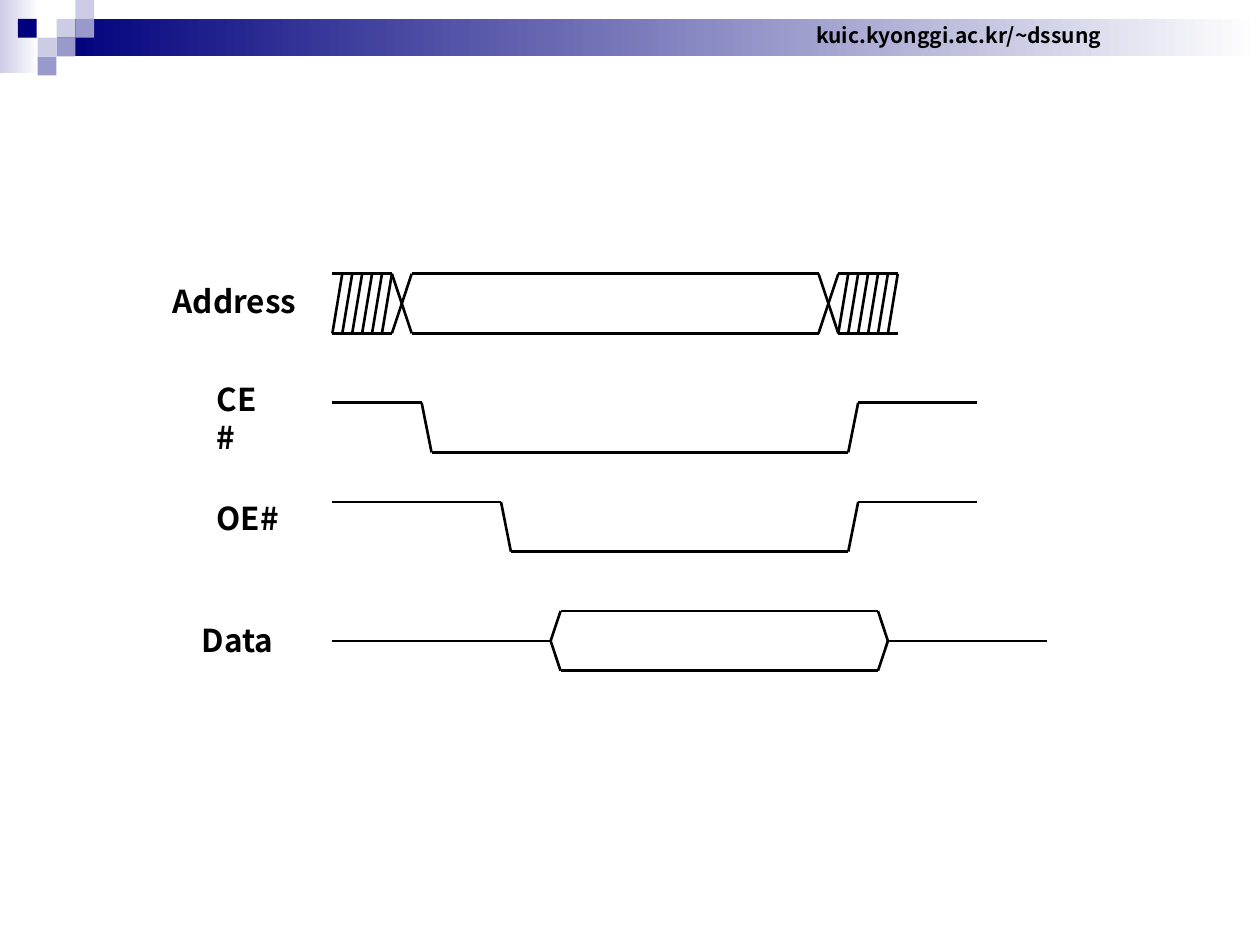
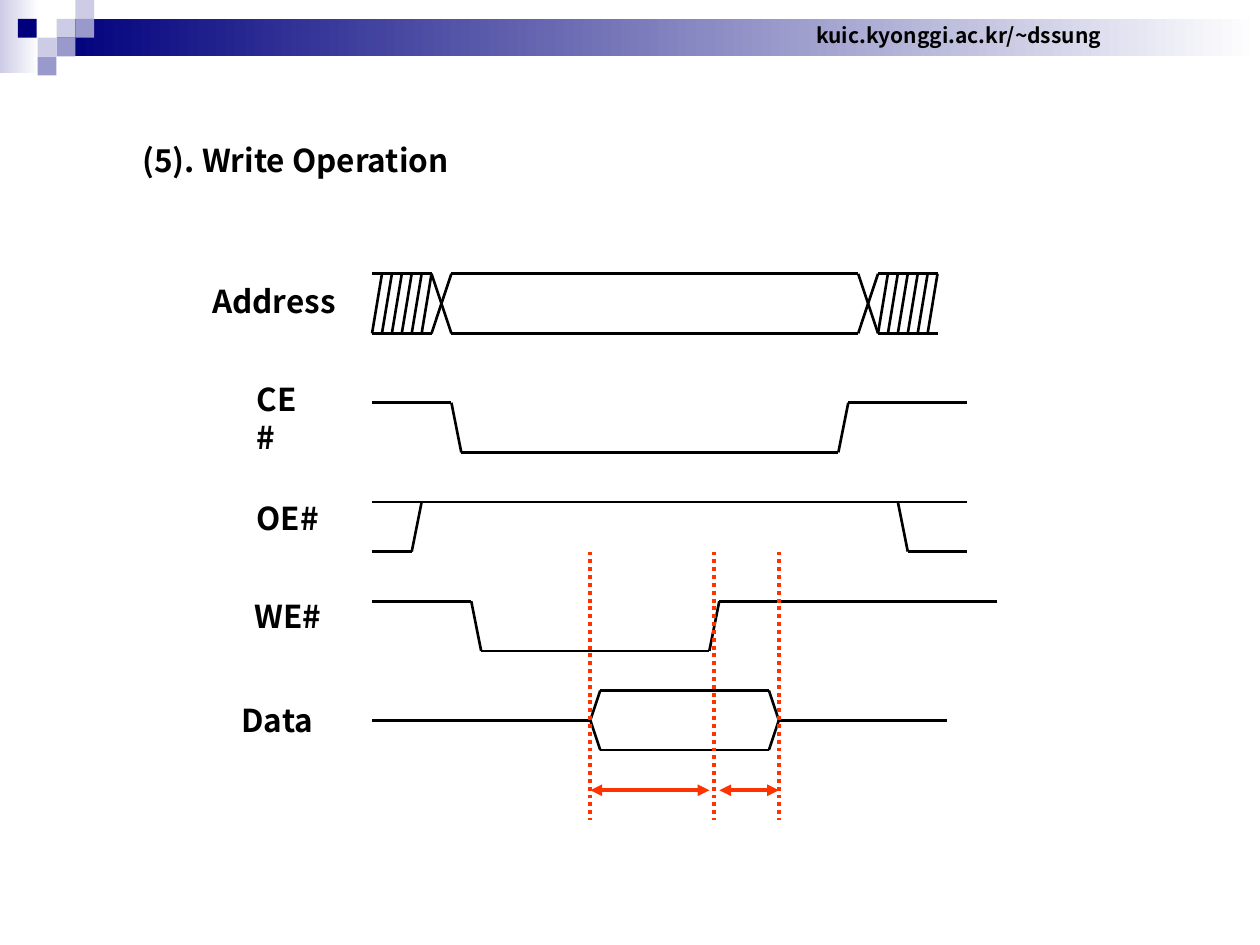
from lxml import etree
from pptx import Presentation
from pptx import util as u
from pptx.dml.color import RGBColor
from pptx.enum import dml, shapes, text
from pptx.oxml.ns import qn

FONT = "Noto Sans CJK KR"
BLACK, RED, WHITE = "000000", "FF3300", "FFFFFF"
NAVY, LILAC, VIOLET = "00007D", "CCCCE6", "9999CC"

SITE = "kuic.kyonggi.ac.kr/~dssung"
CELL = 0.38
BANDS = [(0, 0, 0.79, 1.47, LILAC), (1.14, CELL, 24.26, 0.76, NAVY)]
SQUARES = [
    (3, 1, LILAC), (4, 0, LILAC), (4, 1, VIOLET), (2, 2, LILAC),
    (0.95, 1, NAVY), (3, 2, VIOLET), (2, 3, VIOLET),
]

LABELS = {
    "Address": (-3.47, 0.04, 3.05),
    "CE#": (-2.58, -0.58, 1.68),
    "OE#": (-2.58, -0.19, 1.8),
    "WE#": (-2.62, -0.21, 1.9),
    "Data": (-2.88, 0.08, 2.02),
}
ADDRESS_TOP, CE_TOP, OE_TOP, WE_TOP = 5.52, 8.12, 10.12, 12.12
SLOPE, SWING, BUS_HEIGHT = 0.2, 1.0, 1.2
HATCHES = 6

READ = {
    "start": 6.7,
    "pulses": [
        ("CE#", CE_TOP, 8.5, 17.3, 19.7),
        ("OE#", OE_TOP, 10.1, 17.3, 19.7),
    ],
    "data": (12.32, 11.1, 17.9, 21.1),
}
WRITE = {
    "title": "(5). Write Operation",
    "start": 7.5,
    "pulses": [
        ("CE#", CE_TOP, 9.1, 17.1, 19.5),
        ("WE#", WE_TOP, 9.5, 14.5, 20.1),
    ],
    "enable": ("OE#", OE_TOP, 8.3, 18.3, 19.5),
    "data": (13.92, 11.9, 15.7, 19.1),
    "guides": [11.9, 14.4, 15.7],
    "spans": [(11.9, 14.3), (14.5, 15.7)],
}
GUIDE_TOP, GUIDE_BOTTOM, SPAN_Y = 11.12, 16.53, 15.93


def rgb(value):
    return RGBColor.from_string(value)


def add_block(page, left, top, width, height, color, fades=False):
    block = page.shapes.add_shape(
        shapes.MSO_SHAPE.RECTANGLE, u.Cm(left), u.Cm(top), u.Cm(width), u.Cm(height))
    block.shadow.inherit = False
    block.line.fill.background()
    if fades:
        block.fill.gradient()
        block.fill.gradient_angle = 0
        for stop, shade in zip(block.fill.gradient_stops, (color, WHITE)):
            stop.color.rgb = rgb(shade)
    else:
        block.fill.solid()
        block.fill.fore_color.rgb = rgb(color)


def add_text(page, words, left, top, width, height=1.02, size=18):
    box = page.shapes.add_textbox(u.Cm(left), u.Cm(top), u.Cm(width), u.Cm(height))
    frame = box.text_frame
    frame.word_wrap = True
    frame.text = words
    font = frame.paragraphs[0].font
    font.name, font.size, font.bold = FONT, u.Pt(size), True
    font.color.rgb = rgb(BLACK)
    return frame


def add_line(page, begin, end, color=BLACK, width=1.5):
    line = page.shapes.add_connector(
        shapes.MSO_CONNECTOR.STRAIGHT, *[u.Cm(value) for value in (*begin, *end)])
    line.line.color.rgb = rgb(color)
    line.line.width = u.Pt(width)
    etree.SubElement(line._element.spPr, qn("a:effectLst"))
    return line


def add_wire(page, *points):
    for begin, end in zip(points, points[1:]):
        add_line(page, begin, end)


def add_label(page, name, start, top):
    shift, drop, width = LABELS[name]
    add_text(page, name, start + shift, top + drop, width)


def add_header(page):
    for band in BANDS:
        add_block(page, *band, fades=True)
    for column, row, color in SQUARES:
        add_block(page, column * CELL, row * CELL, CELL, CELL, color)
    frame = add_text(page, SITE, 16.18, 0.33, 6.3, 0.77, 12)
    frame.vertical_anchor = text.MSO_ANCHOR.MIDDLE
    frame.paragraphs[0].alignment = text.PP_ALIGN.CENTER


def add_body(page, left, right, top):
    middle, bottom = top + BUS_HEIGHT / 2, top + BUS_HEIGHT
    for edge in (top, bottom):
        add_wire(page, (left, middle), (left + SLOPE, edge),
                 (right - SLOPE, edge), (right, middle))


def add_address(page, start):
    top, bottom = ADDRESS_TOP, ADDRESS_TOP + BUS_HEIGHT
    middle = top + BUS_HEIGHT / 2
    block = HATCHES * SLOPE
    left, right = start + block + SLOPE, start + 10
    add_label(page, "Address", start, top)
    add_body(page, left, right, top)
    for edge in (top, bottom):
        add_wire(page, (start, edge), (start + block, edge), (left, middle))
        add_wire(page, (right, middle), (right + SLOPE, edge),
                 (right + SLOPE + block, edge))
    for origin in (start, right + SLOPE):
        for index in range(HATCHES):
            foot = origin + index * SLOPE
            add_line(page, (foot + SLOPE, top), (foot, bottom))


def add_pulse(page, name, start, top, fall, rise, end):
    low = top + SWING
    add_label(page, name, start, top)
    add_wire(page, (start, top), (fall, top), (fall + SLOPE, low),
             (rise - SLOPE, low), (rise, top), (end, top))


def add_enable(page, name, start, top, rise, fall, end):
    low = top + SWING
    add_label(page, name, start, top)
    add_line(page, (start, top), (end, top))
    add_wire(page, (start, low), (rise, low), (rise + SLOPE, top))
    add_wire(page, (fall - SLOPE, top), (fall, low), (end, low))


def add_data(page, start, top, left, right, end):
    middle = top + BUS_HEIGHT / 2
    add_label(page, "Data", start, top)
    add_line(page, (start, middle), (left, middle))
    add_body(page, left, right, top)
    add_line(page, (right, middle), (end, middle))


def add_timing_marks(page, guides, spans):
    for x in guides:
        guide = add_line(page, (x, GUIDE_TOP), (x, GUIDE_BOTTOM), RED, 2.25)
        guide.line.dash_style = dml.MSO_LINE.ROUND_DOT
    for left, right in spans:
        arrow = add_line(page, (left, SPAN_Y), (right, SPAN_Y), RED, 2.25)
        outline = arrow._element.spPr.find(qn("a:ln"))
        for tip in ("a:headEnd", "a:tailEnd"):
            etree.SubElement(outline, qn(tip), type="triangle")


def add_diagram(deck, diagram):
    page = deck.slides.add_slide(deck.slide_layouts[6])
    start = diagram["start"]
    add_header(page)
    if "title" in diagram:
        add_text(page, diagram["title"], 2.62, 2.72, 6.8)
    add_address(page, start)
    for name, *places in diagram["pulses"]:
        add_pulse(page, name, start, *places)
    if "enable" in diagram:
        name, *places = diagram["enable"]
        add_enable(page, name, start, *places)
    add_data(page, start, *diagram["data"])
    add_timing_marks(page, diagram.get("guides", []), diagram.get("spans", []))


def main():
    deck = Presentation()
    deck.slide_width, deck.slide_height = u.Cm(25.4), u.Cm(19.05)
    for diagram in (READ, WRITE):
        add_diagram(deck, diagram)
    deck.save("out.pptx")


if __name__ == "__main__":
    main()
